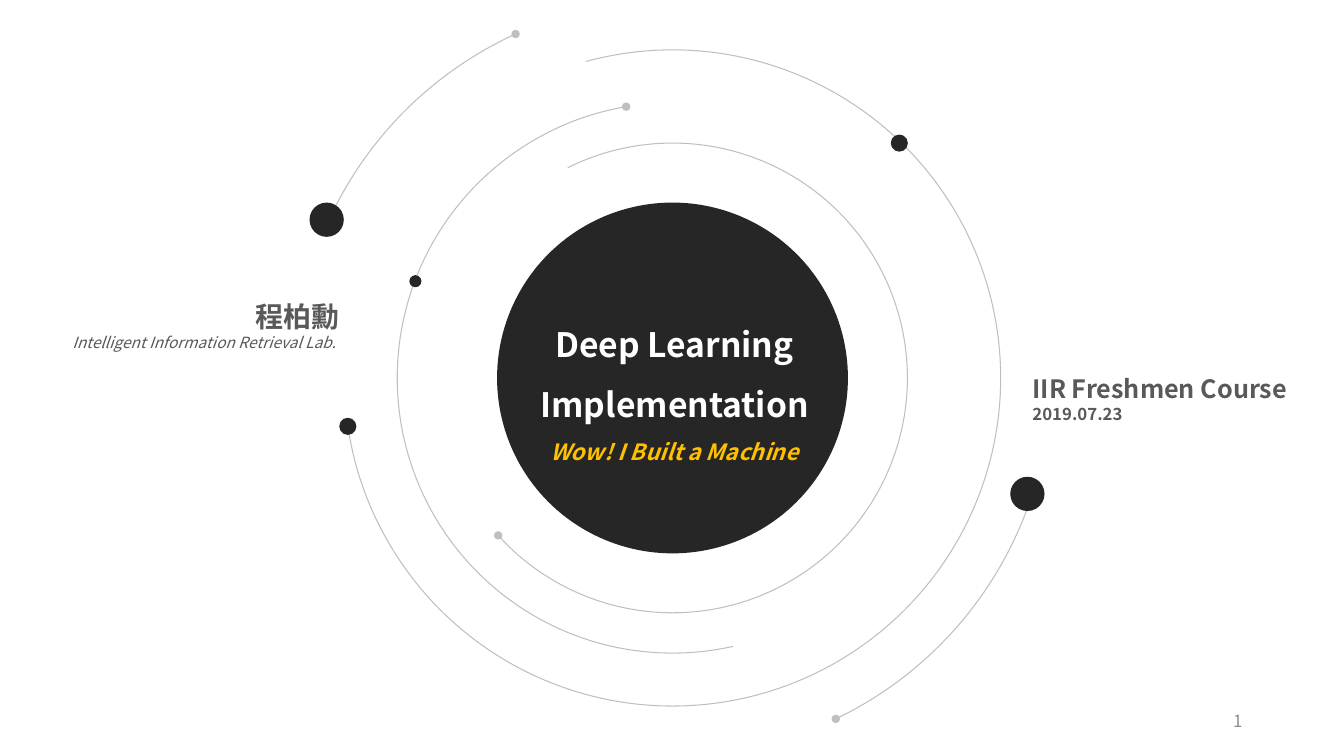
from lxml import etree
from pptx import Presentation
from pptx import util as u
from pptx.dml.color import RGBColor
from pptx.enum import shapes, text
from pptx.oxml import ns

INK = RGBColor(0x26, 0x26, 0x26)
ORBIT = RGBColor(0xBF, 0xBF, 0xBF)
WHITE = RGBColor(0xFF, 0xFF, 0xFF)
GOLD = RGBColor(0xFF, 0xC0, 0x00)
GREY = RGBColor(0x59, 0x59, 0x59)
PAGE_GREY = RGBColor(0x8C, 0x8C, 0x8C)
FONT = "Noto Sans CJK KR"
CENTRE = (6.67, 3.75)

deck = Presentation()
deck.slide_width, deck.slide_height = u.Inches(13.33), u.Inches(7.5)
slide = deck.slides.add_slide(deck.slide_layouts[6])


def add_round(preset, centre, diameter):
    left, top = (c - diameter / 2 for c in centre)
    ring = slide.shapes.add_shape(preset, u.Inches(left), u.Inches(top),
                                  u.Inches(diameter), u.Inches(diameter))
    ring.shadow.inherit = False
    return ring


def add_text(box, paragraphs, frame_format, paragraph_format):
    """Each paragraph is a list of (wording, colour, font format) lines."""
    frame = slide.shapes.add_textbox(*map(u.Inches, box)).text_frame
    for name, value in frame_format.items():
        setattr(frame, name, value)
    for i, lines in enumerate(paragraphs):
        paragraph = frame.paragraphs[0] if i == 0 else frame.add_paragraph()
        for name, value in paragraph_format.items():
            setattr(paragraph, name, value)
        for j, (wording, colour, font_format) in enumerate(lines):
            if j:
                paragraph.add_line_break()
            run = paragraph.add_run()
            run.text = wording
            run.font.name = FONT
            run.font.color.rgb = colour
            for name, value in font_format.items():
                setattr(run.font, name, value)
            east_asian = etree.SubElement(run.font._element, ns.qn("a:ea"))
            east_asian.set("typeface", FONT)


# Central disc and the dots on the orbits
for centre, diameter in [
    (CENTRE, 3.48),
    ((10.19, 4.9), 0.34),
    ((3.24, 2.18), 0.34),
    ((3.45, 4.23), 0.17),
    ((4.12, 2.79), 0.12),
    ((8.92, 1.42), 0.17),
]:
    dot = add_round(shapes.MSO_SHAPE.OVAL, centre, diameter)
    dot.fill.solid()
    dot.fill.fore_color.rgb = INK
    dot.line.fill.background()

# Orbits: diameter, start and end angle in degrees, sent behind the dots
for diameter, *angles in [
    (4.66, 243.54, 137.88),
    (5.46, 77.31, 260.32),
    (6.51, 254.74, 171.62),
    (7.5, 18.97, 64.41),
    (7.5, 203.74, 245.49),
]:
    orbit = add_round(shapes.MSO_SHAPE.ARC, CENTRE, diameter)
    for i, angle in enumerate(angles):
        orbit.adjustments[i] = angle * 0.6  # 60000ths of a degree / 100000
    orbit.fill.background()
    orbit.line.color.rgb = ORBIT
    orbit.line.width = u.Pt(0.75)
    tail = etree.SubElement(orbit.line._get_or_add_ln(), ns.qn("a:tailEnd"))
    tail.set("type", "oval")
    slide.shapes._spTree.insert(3, orbit._element)

# Title in the disc
title_font = {"size": u.Pt(24), "bold": True}
add_text(
    (4.36, 2.96, 4.66, 1.72),
    [[("Deep Learning", WHITE, title_font)],
     [("Implementation", WHITE, title_font)],
     [("Wow! I Built a Machine", GOLD,
       {"size": u.Pt(16), "bold": True, "italic": True})]],
    {"word_wrap": True, "auto_size": text.MSO_AUTO_SIZE.SHAPE_TO_FIT_TEXT},
    {"alignment": text.PP_ALIGN.CENTER, "line_spacing": 1.5})

# Speaker on the left, course on the right
middle = {"word_wrap": True, "vertical_anchor": text.MSO_ANCHOR.MIDDLE}
no_margins = {"margin_" + side: 0 for side in ("left", "top", "right", "bottom")}
add_text(
    (0, 2.59, 3.37, 1.27),
    [[("程柏勳", GREY, {"size": u.Pt(20), "bold": True})],
     [("Intelligent Information Retrieval Lab. ", GREY,
       {"size": u.Pt(11), "italic": True})]],
    middle | no_margins, {"alignment": text.PP_ALIGN.RIGHT})
add_text(
    (10.24, 3.32, 2.86, 1.27),
    [[("IIR Freshmen Course ", GREY, {"size": u.Pt(18), "bold": True}),
      ("2019.07.23", GREY, {"size": u.Pt(12), "bold": True})]],
    middle | no_margins, {"alignment": text.PP_ALIGN.LEFT})

# Page number
add_text((9.42, 6.95, 3, 0.4), [[("1", PAGE_GREY, {"size": u.Pt(12)})]],
         middle, {"alignment": text.PP_ALIGN.RIGHT})

deck.save("out.pptx")
